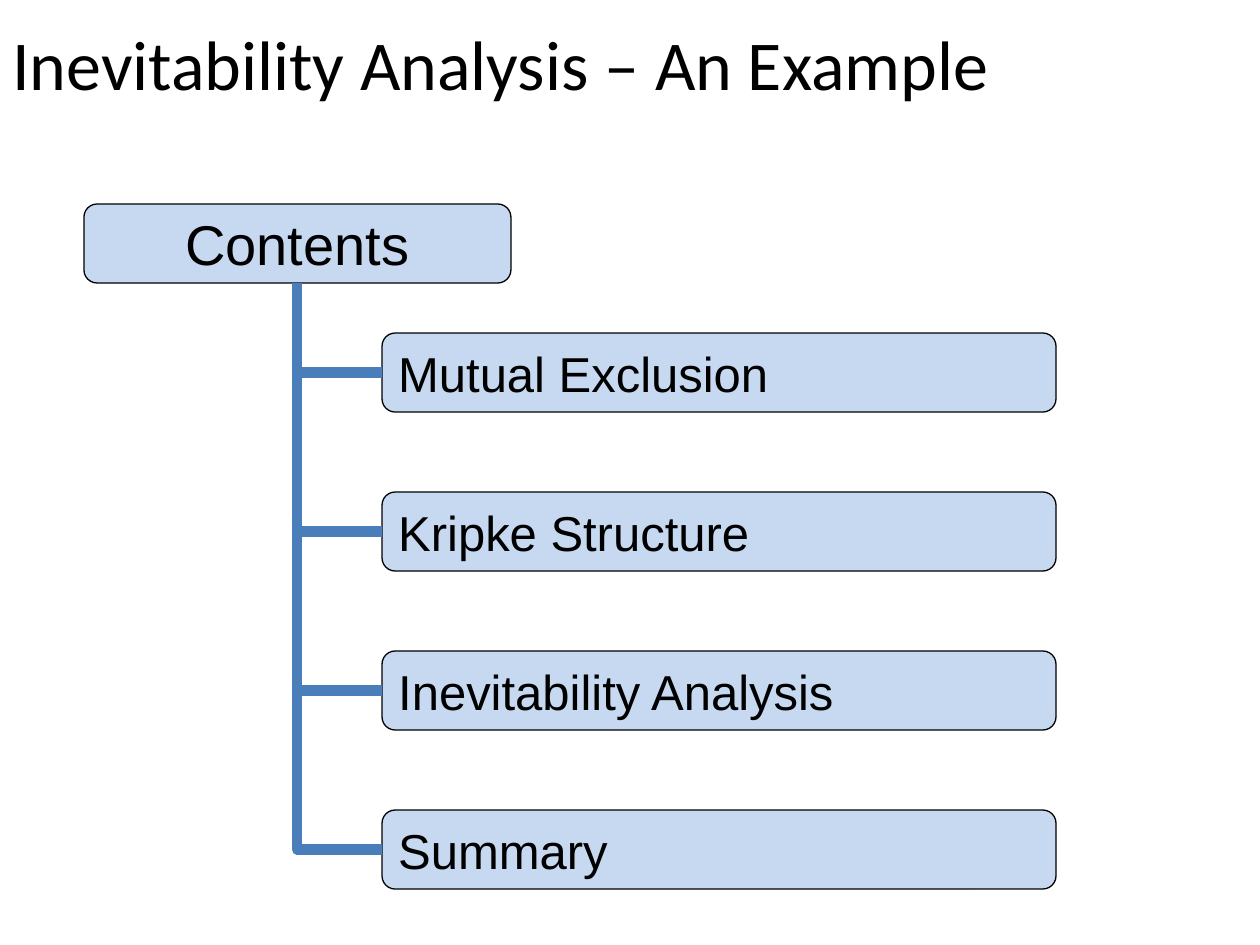
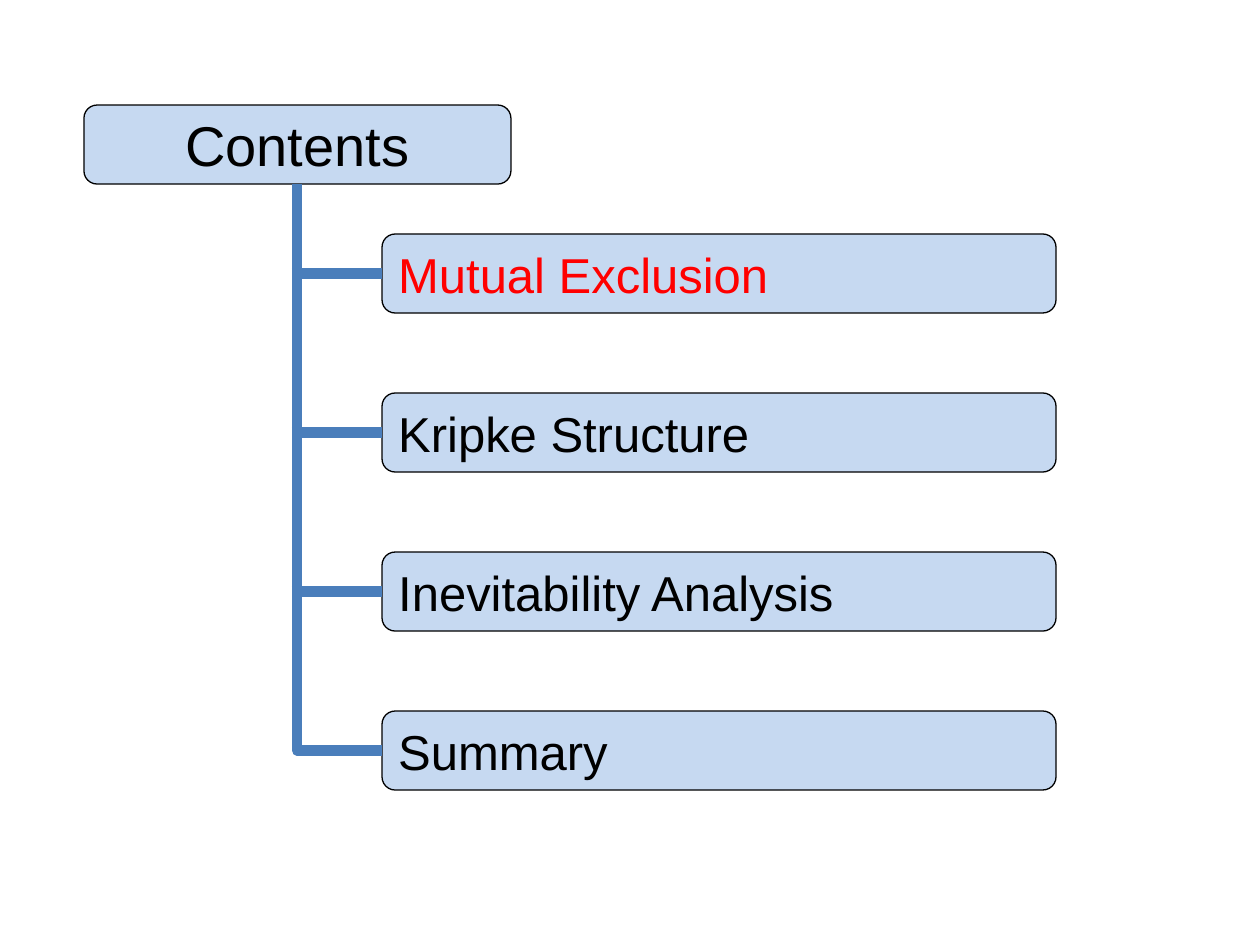
from dataclasses import dataclass
from lxml.etree import SubElement
from pptx import Presentation
from pptx.dml.color import RGBColor
from pptx.enum.shapes import MSO_CONNECTOR, MSO_SHAPE
from pptx.enum.text import MSO_ANCHOR, PP_ALIGN
from pptx.oxml.ns import qn
from pptx.util import Emu, Pt

HEAD = "Contents"
TOPICS = ["Mutual Exclusion", "Kripke Structure", "Inevitability Analysis", "Summary"]
SLIDES = [
    {"title": "Inevitability Analysis – An Example", "top": 204, "hot": None},
    {"title": None, "top": 105, "hot": "Mutual Exclusion"},
]


@dataclass(frozen=True)
class Theme:
    ink: str = "000000"
    hot: str = "FF0000"
    box: str = "C6D9F1"
    link: str = "4A7EBB"
    body: str = "Arial"
    display: str = "Calibri"
    title: int = 40
    head: int = 32
    topic: int = 28
    edge: float = 0.75
    stroke: int = 6


THEME = Theme()
WIDE, HIGH = 1260, 945
HEAD_X, HEAD_W = 84, 427
TOPIC_X, TOPIC_W = 382, 674
BOX_H = 79
FIRST, STEP = 129, 159
STEM_X = HEAD_X + HEAD_W // 2
TWIG_X = STEM_X - 5


def px(num):
    return Emu(round(num * 914400 / 126))


def write(shape, text, size, font, color, align=PP_ALIGN.LEFT):
    frame = shape.text_frame
    frame.word_wrap = True
    frame.vertical_anchor = MSO_ANCHOR.MIDDLE
    frame.text = text
    para = frame.paragraphs[0]
    para.alignment = align
    para.font.size = Pt(size)
    para.font.name = font
    para.font.color.rgb = RGBColor.from_string(color)


def add_box(slide, left, top, width, text, size, color, align=PP_ALIGN.LEFT):
    box = slide.shapes.add_shape(MSO_SHAPE.FLOWCHART_ALTERNATE_PROCESS,
                                 px(left), px(top), px(width), px(BOX_H))
    box.shadow.inherit = False
    box.fill.solid()
    box.fill.fore_color.rgb = RGBColor.from_string(THEME.box)
    box.line.color.rgb = RGBColor.from_string(THEME.ink)
    box.line.width = Pt(THEME.edge)
    write(box, text, size, THEME.body, color, align)


def add_link(slide, left, top, right, low):
    link = slide.shapes.add_connector(MSO_CONNECTOR.ELBOW,
                                      px(left), px(top), px(right), px(low))
    link.line.color.rgb = RGBColor.from_string(THEME.link)
    link.line.width = Pt(THEME.stroke)
    SubElement(link._element.spPr, qn("a:effectLst"))
    return link


def add_stem(slide, top, low):
    run, drop = TOPIC_X - STEM_X, low - top
    left, mid = STEM_X + (run - drop) / 2, (top + low) / 2
    stem = add_link(slide, left, mid - run / 2, left + drop, mid + run / 2)
    props = stem._element.spPr
    props.find(qn("a:prstGeom")).set("prst", "bentConnector2")
    frame = props.find(qn("a:xfrm"))
    frame.set("rot", "16200000")
    frame.set("flipH", "1")


def add_tree(slide, top, hot):
    add_box(slide, HEAD_X, top, HEAD_W, HEAD, THEME.head, THEME.ink, PP_ALIGN.CENTER)
    tops = [top + FIRST + STEP * row for row in range(len(TOPICS))]
    for text, place in zip(TOPICS, tops):
        color = THEME.hot if text == hot else THEME.ink
        add_box(slide, TOPIC_X, place, TOPIC_W, text, THEME.topic, color)
    mids = [place + BOX_H / 2 for place in tops]
    add_stem(slide, top + BOX_H, mids[-1])
    for mid in mids[:-1]:
        add_link(slide, TWIG_X, mid, TOPIC_X, mid)


def main():
    deck = Presentation()
    deck.slide_width, deck.slide_height = px(WIDE), px(HIGH)
    for page in SLIDES:
        slide = deck.slides.add_slide(deck.slide_layouts[6])
        add_tree(slide, page["top"], page["hot"])
        if page["title"]:
            title = slide.shapes.add_textbox(0, 0, px(WIDE), px(125))
            write(title, page["title"], THEME.title, THEME.display, THEME.ink)
    deck.save("out.pptx")


if __name__ == "__main__":
    main()
